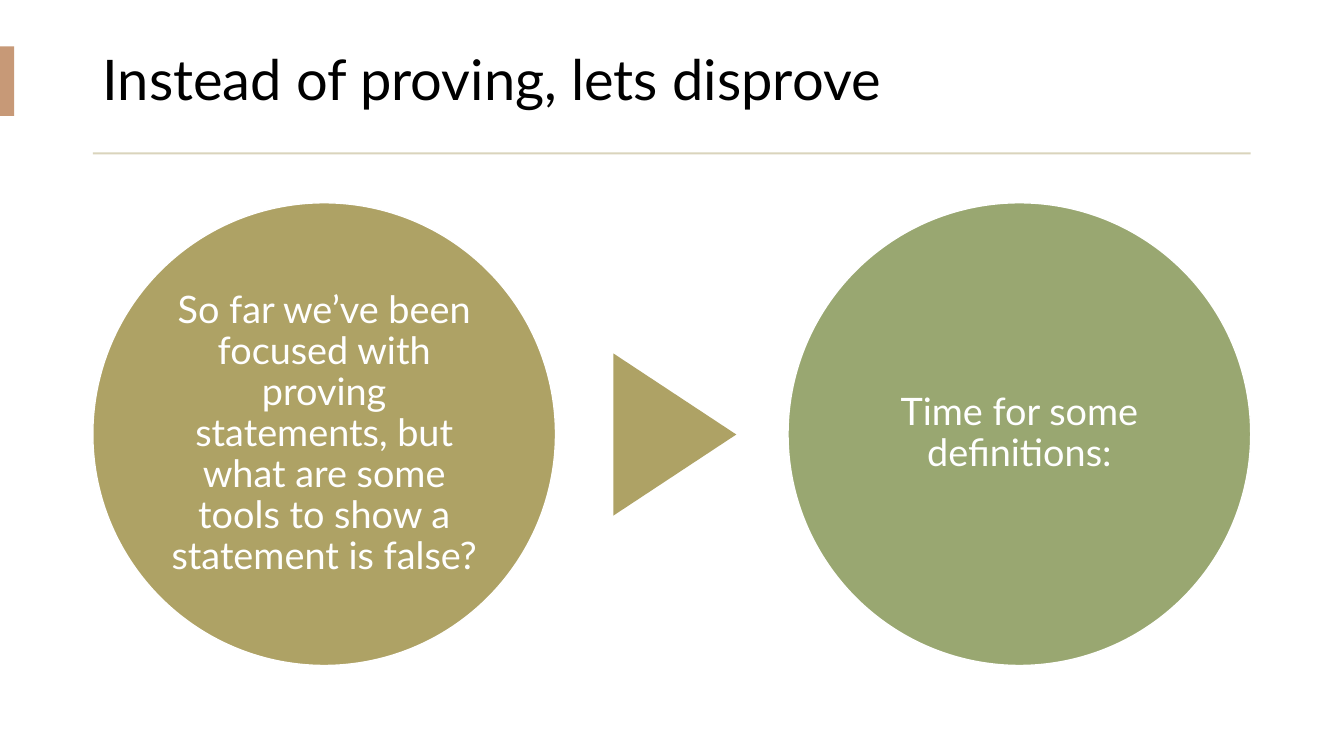
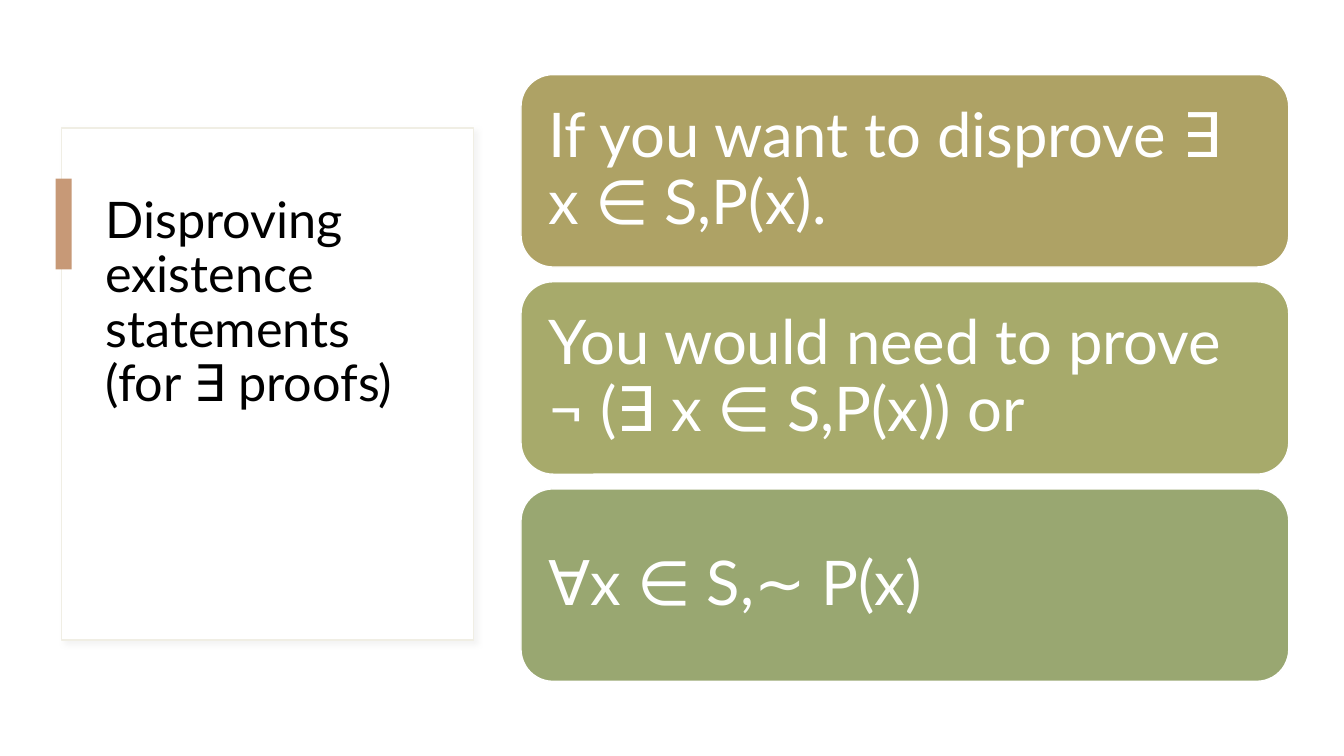
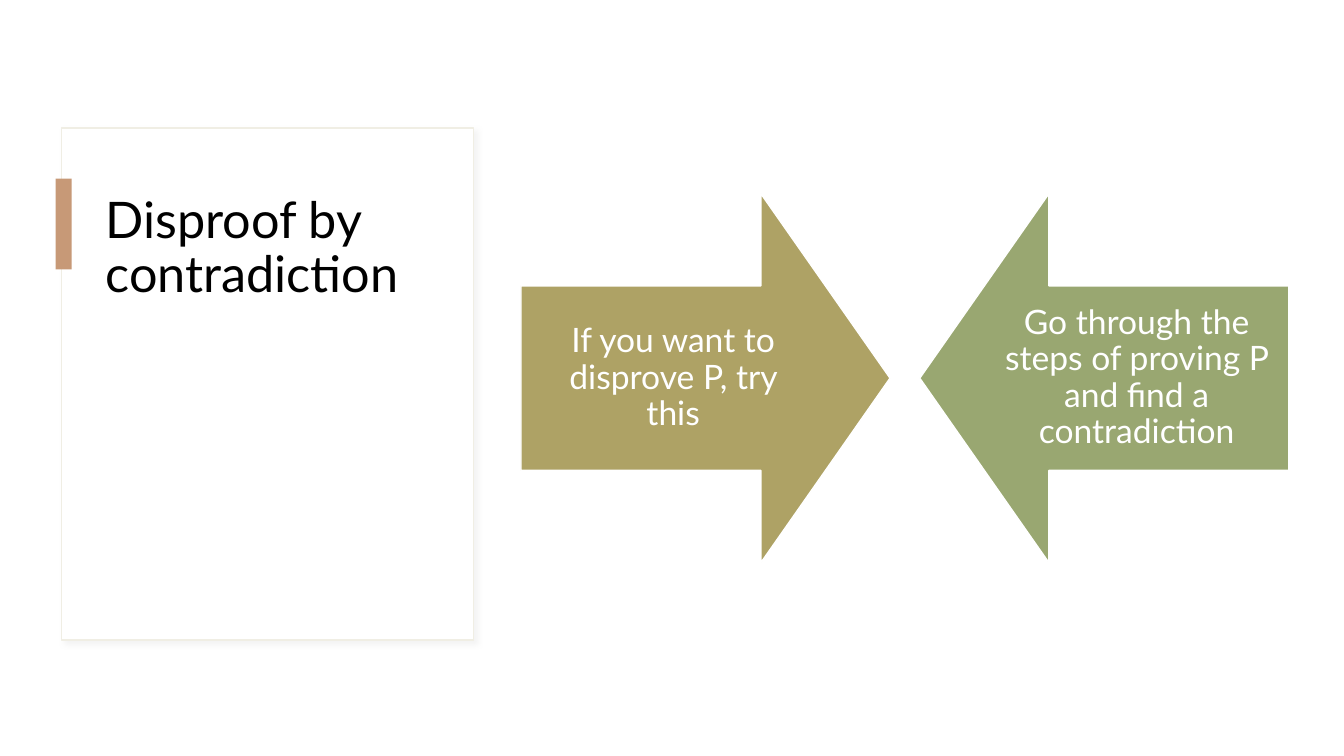
import pptx
import pptx.dml.color
import pptx.enum.shapes
import pptx.enum.text
import pptx.oxml
import pptx.oxml.ns
import pptx.util

Cm = pptx.util.Cm
Pt = pptx.util.Pt
RGBColor = pptx.dml.color.RGBColor
SHAPE = pptx.enum.shapes.MSO_SHAPE
ALIGN = pptx.enum.text.PP_ALIGN
ANCHOR = pptx.enum.text.MSO_ANCHOR

WHITE = RGBColor(0xFF, 0xFF, 0xFF)
BLACK = RGBColor(0x00, 0x00, 0x00)
CLAY = RGBColor(0xC7, 0x99, 0x77)
SAND = RGBColor(0xDA, 0xD4, 0xBC)
IVORY = RGBColor(0xF0, 0xEE, 0xE4)
GOLD = RGBColor(0xAE, 0xA2, 0x65)
OLIVE = RGBColor(0xA7, 0xAA, 0x6B)
SAGE = RGBColor(0x99, 0xA7, 0x71)

FONT = "Lato"
INSETS = ("margin_left", "margin_top", "margin_right", "margin_bottom")
CARD_SHADOW = (
    '<a:outerShdw %s blurRad="50800" dist="38100" dir="2700000" algn="tl" rotWithShape="0">'
    '<a:srgbClr val="D9D9D9"><a:alpha val="30000"/></a:srgbClr></a:outerShdw>'
    % pptx.oxml.ns.nsdecls("a")
)


def add_block(slide, kind, box, fill, outline=None):
    block = slide.shapes.add_shape(kind, *[Cm(length) for length in box])
    block.shadow.inherit = False
    block.fill.solid()
    block.fill.fore_color.rgb = fill
    if outline is None:
        block.line.fill.background()
    else:
        block.line.color.rgb = outline
        block.line.width = Pt(1)
    return block


def write(holder, text, size, color=WHITE, align=ALIGN.LEFT, anchor=ANCHOR.MIDDLE, inset=None):
    frame = holder.text_frame
    paragraph = frame.paragraphs[0]
    paragraph.text = text
    frame_format = {"word_wrap": True, "vertical_anchor": anchor}
    if inset is not None:
        frame_format.update({side: Cm(inset) for side in INSETS})
    formats = (
        (frame, frame_format),
        (paragraph, {"alignment": align, "line_spacing": 0.9}),
        (paragraph.runs[0].font, {"name": FONT, "size": Pt(size)}),
    )
    for target, values in formats:
        for attribute, value in values.items():
            setattr(target, attribute, value)
    paragraph.runs[0].font.color.rgb = color


deck = pptx.Presentation()
deck.slide_width = Cm(33.87)
deck.slide_height = Cm(19.05)
blank = deck.slide_layouts[6]

intro = deck.slides.add_slide(blank)
left, width = 2.34, 29.18
heading = intro.shapes.add_textbox(Cm(left), Cm(0.69), Cm(width), Cm(2.79))
write(heading, "Instead of proving, lets disprove", 40, BLACK)
add_block(intro, SHAPE.RECTANGLE, (0, 1.17, 0.36, 1.75), CLAY)
add_block(intro, SHAPE.RECTANGLE, (left, 3.84, width, 0.05), SAND)

diameter = 11.66
ideas = (
    (left, GOLD, "So far we’ve been focused with proving statements, but what are some tools to show a statement is false?"),
    (left + width - diameter, SAGE, "Time for some definitions:"),
)
for x, fill, text in ideas:
    circle = add_block(intro, SHAPE.OVAL, (x, 5.11, diameter, diameter), fill, WHITE)
    write(circle, text, 27, align=ALIGN.CENTER, inset=0.1)
pointer = add_block(intro, SHAPE.ISOSCELES_TRIANGLE, (14.96, 9.4, 4.09, 3.1), GOLD)
pointer.rotation = 90

card_slides = []
for title in ("Disproving existence statements (for ∃ proofs)", "Disproof by contradiction"):
    slide = deck.slides.add_slide(blank)
    card = add_block(slide, SHAPE.RECTANGLE, (1.55, 3.23, 10.39, 12.9), WHITE, IVORY)
    effects = card._element.spPr.find(pptx.oxml.ns.qn("a:effectLst"))
    effects.append(pptx.oxml.parse_xml(CARD_SHADOW))
    heading = slide.shapes.add_textbox(Cm(2.41), Cm(4.78), Cm(8.61), Cm(9.78))
    write(heading, title, 36, BLACK, anchor=ANCHOR.TOP)
    add_block(slide, SHAPE.RECTANGLE, (1.4, 4.5, 0.41, 2.29), CLAY)
    card_slides.append(slide)
existence, contradiction = card_slides

left, width = 13.13, 19.35
steps = (
    (GOLD, "If you want to disprove ∃ x ∈ S,P(x)."),
    (OLIVE, "You would need to prove ¬ (∃ x ∈ S,P(x)) or"),
    (SAGE, "∀x ∈ S,∼ P(x)"),
)
for row, (fill, text) in enumerate(steps):
    step = add_block(existence, SHAPE.ROUNDED_RECTANGLE, (left, 1.88 + 5.22 * row, width, 4.85), fill, WHITE)
    write(step, text, 44, inset=0.46)

side = 9.3
arrows = (
    (SHAPE.RIGHT_ARROW, left, GOLD, "If you want to disprove P, try this"),
    (SHAPE.LEFT_ARROW, left + width - side, SAGE, "Go through the steps of proving P and find a contradiction"),
)
for kind, x, fill, text in arrows:
    arrow = add_block(contradiction, kind, (x, 4.88, side, side), fill, WHITE)
    arrow.adjustments[0] = 0.5
    arrow.adjustments[1] = 0.35
    write(arrow, text, 24, align=ALIGN.CENTER, inset=0.48)

deck.save("out.pptx")
